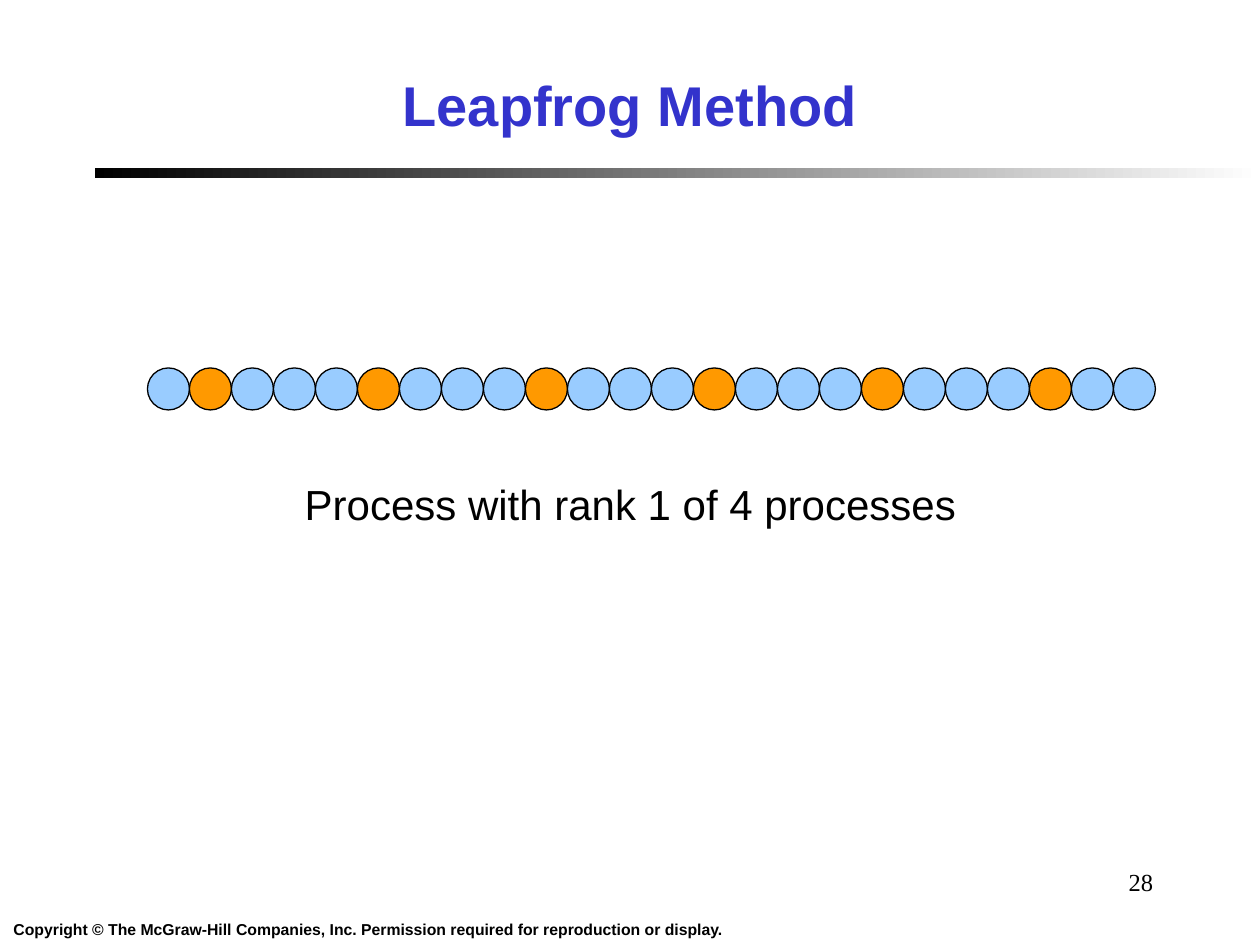
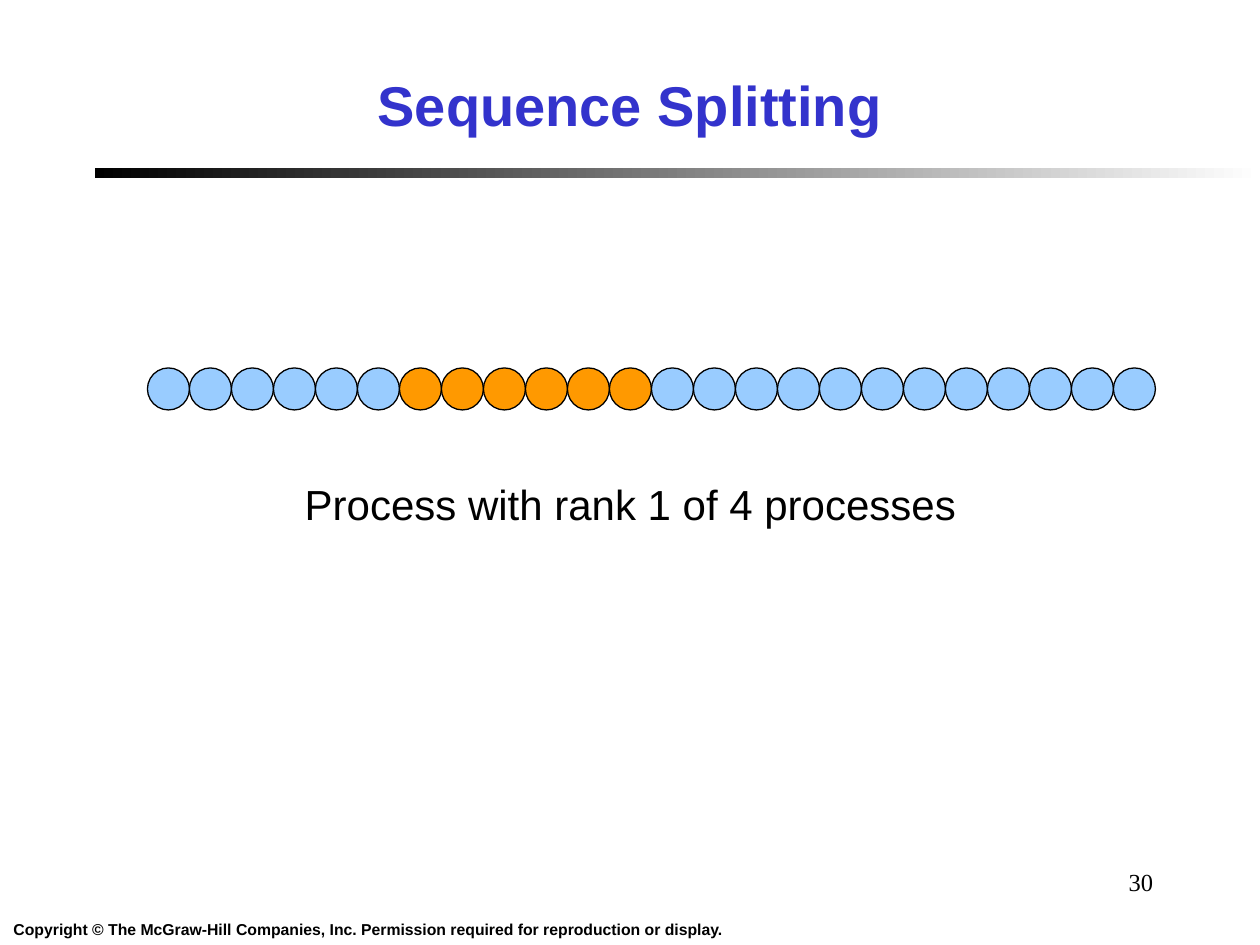
from pptx import Presentation
from pptx.dml.color import RGBColor
from pptx.enum.shapes import MSO_SHAPE
from pptx.enum.text import MSO_ANCHOR, PP_ALIGN
from pptx.util import Inches, Pt

OVAL, RECTANGLE = MSO_SHAPE.OVAL, MSO_SHAPE.RECTANGLE
LEFT, CENTER, RIGHT = PP_ALIGN.LEFT, PP_ALIGN.CENTER, PP_ALIGN.RIGHT
TOP, MIDDLE = MSO_ANCHOR.TOP, MSO_ANCHOR.MIDDLE

COLORS = {
    "title": "3333CC",
    "text": "000000",
    "outline": "000000",
    "band_start": "000000",
    "band_end": "FFFFFF",
    "other_item": "99CCFF",
    "own_item": "FF9900",
}
COPYRIGHT = ("Copyright © The McGraw-Hill Companies, Inc. "
             "Permission required for reproduction or display.")
CAPTION = "Process with rank 1 of 4 processes"

# The sequence of items shared out among the processes
ITEM_COUNT, PROCESS_COUNT, RANK = 24, 4, 1
ITEM_SIZE = 1 / 3
ROW_LEFT, ROW_TOP = 1.17, 2.92


def color(name):
    return RGBColor.from_string(COLORS[name])


def add_text(slide, text, box, size, font="Arial", color_name="text",
             bold=False, align=LEFT, anchor=TOP, wrap=True):
    frame = slide.shapes.add_textbox(*map(Inches, box)).text_frame
    frame.word_wrap = wrap
    frame.vertical_anchor = anchor
    paragraph = frame.paragraphs[0]
    paragraph.text = text
    paragraph.alignment = align
    paragraph.font.name = font
    paragraph.font.size = Pt(size)
    paragraph.font.bold = bold
    paragraph.font.color.rgb = color(color_name)


def add_band(slide):
    band = slide.shapes.add_shape(
        RECTANGLE, Inches(0.75), Inches(1.33), Inches(9.25), Inches(0.08))
    band.shadow.inherit = False
    band.line.fill.background()
    band.fill.gradient()
    band.fill.gradient_angle = 0
    for stop, name in zip(band.fill.gradient_stops, ("band_start", "band_end")):
        stop.color.rgb = color(name)


def add_item(slide, index, color_name):
    item = slide.shapes.add_shape(
        OVAL, Inches(ROW_LEFT + index * ITEM_SIZE), Inches(ROW_TOP),
        Inches(ITEM_SIZE), Inches(ITEM_SIZE))
    item.shadow.inherit = False
    item.fill.solid()
    item.fill.fore_color.rgb = color(color_name)
    item.line.color.rgb = color("outline")
    item.line.width = Pt(0.75)


def add_sequence(slide, own_items):
    for index in range(ITEM_COUNT):
        add_item(slide, index, "own_item" if index in own_items else "other_item")


def add_partition_slide(presentation, title, number, own_items):
    slide = presentation.slides.add_slide(presentation.slide_layouts[6])
    # Shared frame: band, copyright line, page number, title
    add_band(slide)
    add_text(slide, COPYRIGHT, (0, 7.25, 5.84, 0.25), 9, bold=True,
             align=CENTER, wrap=False)
    add_text(slide, str(number), (7.17, 6.83, 2.08, 0.5), 14,
             font="Times New Roman", align=RIGHT)
    add_text(slide, title, (0.25, 0.33, 9.5, 1), 32, color_name="title",
             bold=True, align=CENTER, anchor=MIDDLE)
    # Sequence and caption
    add_sequence(slide, own_items)
    add_text(slide, CAPTION, (2.32, 3.75, 5.37, 0.5), 24, wrap=False)


def main():
    presentation = Presentation()
    presentation.slide_width = Inches(10)
    presentation.slide_height = Inches(7.5)

    # Leapfrog takes every fourth item; splitting takes one contiguous block
    leapfrog = range(RANK, ITEM_COUNT, PROCESS_COUNT)
    block_size = ITEM_COUNT // PROCESS_COUNT
    block = range(RANK * block_size, (RANK + 1) * block_size)
    add_partition_slide(presentation, "Leapfrog Method", 28, leapfrog)
    add_partition_slide(presentation, "Sequence Splitting", 30, block)

    presentation.save("out.pptx")


if __name__ == "__main__":
    main()
